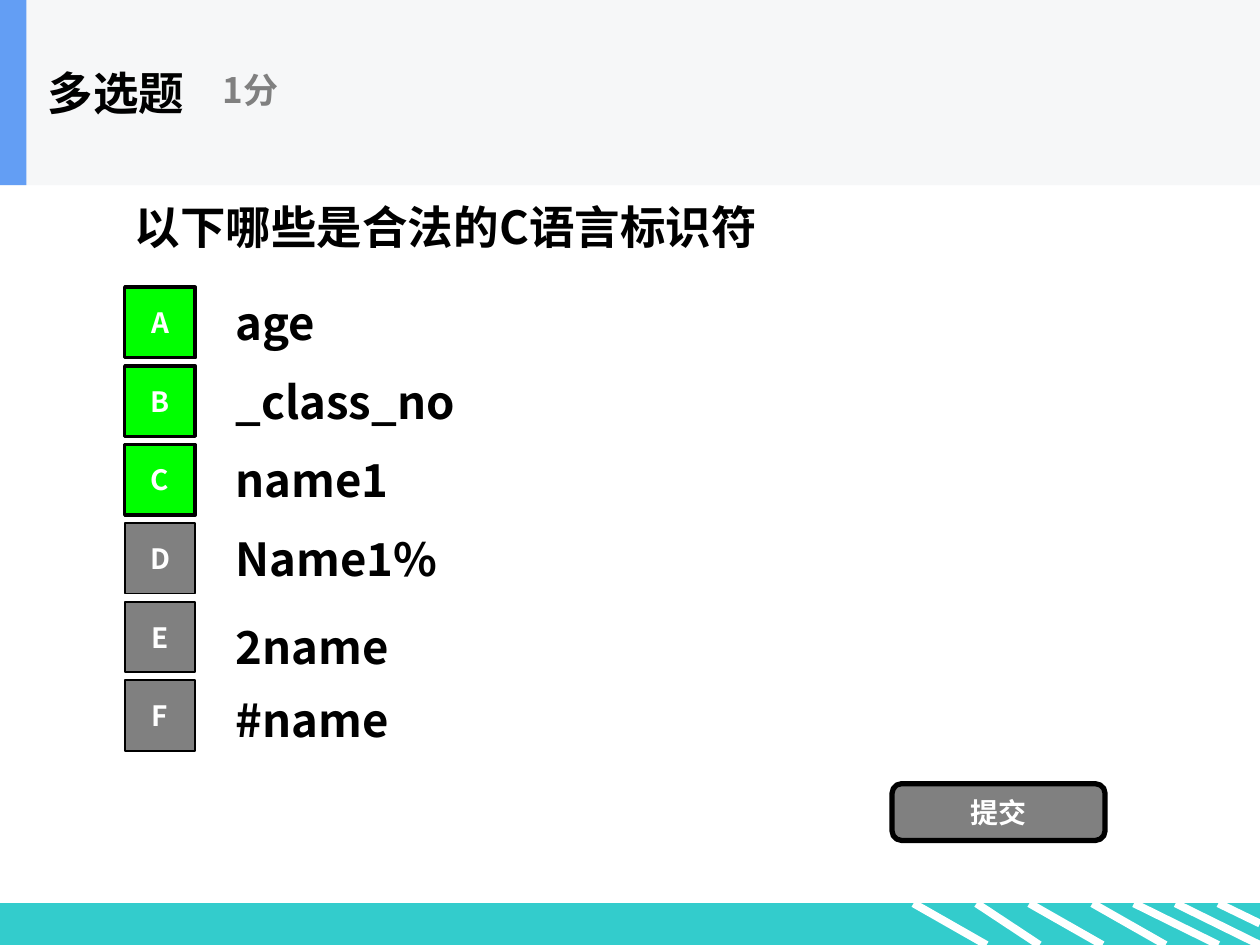
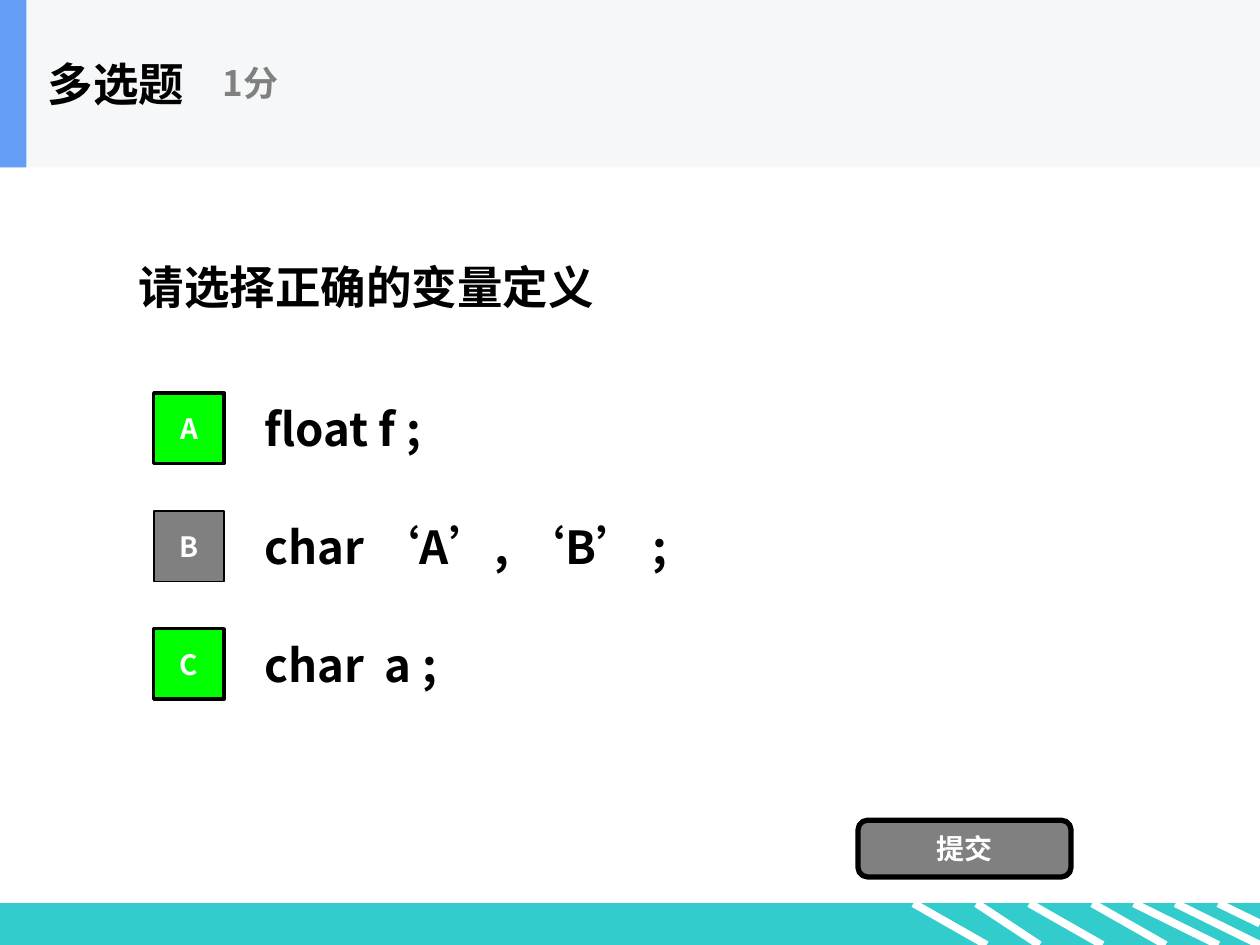
from pptx import Presentation
from pptx import util as u
from pptx.dml.color import RGBColor
from pptx.enum import shapes, text
from pptx.oxml.ns import qn
from lxml import etree

# Content
HEADER, SCORE, SUBMIT = "多选题", "1分", "提交"
QUESTIONS = [
    {
        "question": "以下哪些是合法的C语言标识符",
        "question_box": (0.97, 1.33, 8, 0.93),
        "band_height": 1.47,
        "badge_left": 0.99, "first_top": 2.28, "last_top": 5.4,
        "submit_at": (7.08, 6.22),
        # text, is correct, text box top relative to its badge
        "options": [
            ("age", True, -0.07),
            ("_class_no", True, -0.07),
            ("name1", True, -0.07),
            ("Name1%", False, -0.07),
            ("2name", False, 0),
            ("#name", False, -0.04),
        ],
    },
    {
        "question": "请选择正确的变量定义",
        "question_box": (1, 1.57, 8, 1.4),
        "band_height": 1.33,
        "badge_left": 1.22, "first_top": 3.12, "last_top": 4.99,
        "submit_at": (6.81, 6.51),
        "options": [
            ("float f ;", True, -0.07),
            ("char ‘A’, ‘B’ ;", False, -0.07),
            ("char  a ;", True, -0.07),
        ],
    },
]

# Shared style
FONT = "Noto Sans CJK SC"
COLORS = {
    "ink": "000000", "white": "FFFFFF", "gray": "808080", "correct": "00FF00",
    "band": "F6F7F8", "accent": "639EF4", "footer": "33CCCC",
}
WIDTH, HEIGHT = 10, 7.5
BADGE, OPTION_GAP = 0.56, 0.78
FOOTER_TOP = 7.17
# Footer strokes: start x, end x, end y
STROKES = [
    (7.25, 7.83, 7.5), (7.75, 8.25, 7.5), (8.17, 8.75, 7.5), (8.67, 9.25, 7.5),
    (9, 9.67, 7.5), (9.33, 10, 7.5), (9.67, 10, 7.33),
]


def rgb(name):
    return RGBColor.from_string(COLORS[name])


def inches(*values):
    return [u.Inches(v) for v in values]


def write(sp, content, size=26, color="ink", align=text.PP_ALIGN.LEFT, wrap=True):
    tf = sp.text_frame
    tf.word_wrap = wrap
    tf.auto_size = text.MSO_AUTO_SIZE.NONE
    tf.vertical_anchor = text.MSO_ANCHOR.MIDDLE
    p = tf.paragraphs[0]
    p.alignment = align
    r = p.add_run()
    r.text = content
    r.font.size, r.font.bold, r.font.name = u.Pt(size), True, FONT
    r.font.color.rgb = rgb(color)
    # East Asian typeface follows the Latin one
    rpr = r.font._element if hasattr(r.font, "_element") else r._r.get_or_add_rPr()
    rpr.set("lang", "zh-CN")
    etree.SubElement(rpr, qn("a:ea")).set("typeface", FONT)


def add_text(parent, box, content, **fmt):
    write(parent.add_textbox(*inches(*box)), content, **fmt)


def add_box(parent, box, fill, line=None, width=1, kind=shapes.MSO_SHAPE.RECTANGLE):
    sp = parent.add_shape(kind, *inches(*box))
    sp.shadow.inherit = False
    sp.fill.solid()
    sp.fill.fore_color.rgb = rgb(fill)
    if line:
        sp.line.color.rgb = rgb(line)
        sp.line.width = u.Pt(width)
    else:
        sp.line.fill.background()
    return sp


def add_label(parent, box, content, fill, width, **shape):
    sp = add_box(parent, box, fill, "ink", width, **shape)
    write(sp, content, size=16, color="white", align=text.PP_ALIGN.CENTER, wrap=False)


def add_header(s, height):
    group = s.shapes.add_group_shape().shapes
    add_box(group, (0, 0, WIDTH, height), "band")
    add_box(group, (0, 0, 0.21, height), "accent")
    add_text(group, (0.28, 0, 2.08, height), HEADER)
    add_text(group, (1.67, 0.12, 2.5, height * 0.8), SCORE, size=20, color="gray")


def add_options(s, q):
    step = (q["last_top"] - q["first_top"]) / (len(q["options"]) - 1)
    left = q["badge_left"]
    for i, (content, correct, nudge) in enumerate(q["options"]):
        top = q["first_top"] + i * step
        add_text(s.shapes, (left + OPTION_GAP, top + nudge, 7, 0.7), content)
        add_label(s.shapes, (left, top, BADGE, BADGE), "ABCDEF"[i],
                  "correct" if correct else "gray", 2 if correct else 1)


def add_question(prs, q):
    s = prs.slides.add_slide(prs.slide_layouts[5])
    title = s.shapes.title
    title.left, title.top, title.width, title.height = inches(*q["question_box"])
    write(title, q["question"])
    add_options(s, q)
    add_label(s.shapes, (*q["submit_at"], 1.69, 0.45), SUBMIT, "gray", 3,
              kind=shapes.MSO_SHAPE.ROUNDED_RECTANGLE)
    add_header(s, q["band_height"])
    return s


def add_footer(prs, s):
    """Draw the footer as one group and hand it to the slide master."""
    group = s.shapes.add_group_shape()
    add_box(group.shapes, (0, FOOTER_TOP, WIDTH, HEIGHT - FOOTER_TOP),
            "footer", "footer", 0.75)
    for x1, x2, y2 in STROKES:
        stroke = group.shapes.add_connector(
            shapes.MSO_CONNECTOR.STRAIGHT, *inches(x1, FOOTER_TOP, x2, y2))
        stroke.line.color.rgb = rgb("white")
        stroke.line.width = u.Pt(4.5)
        etree.SubElement(stroke.element.spPr, qn("a:effectLst"))
    prs.slide_master.shapes.element.append(group.element)


def main():
    prs = Presentation()
    prs.slide_width, prs.slide_height = inches(WIDTH, HEIGHT)
    for q in QUESTIONS:
        s = add_question(prs, q)
    add_footer(prs, s)
    prs.save("out.pptx")


if __name__ == "__main__":
    main()
